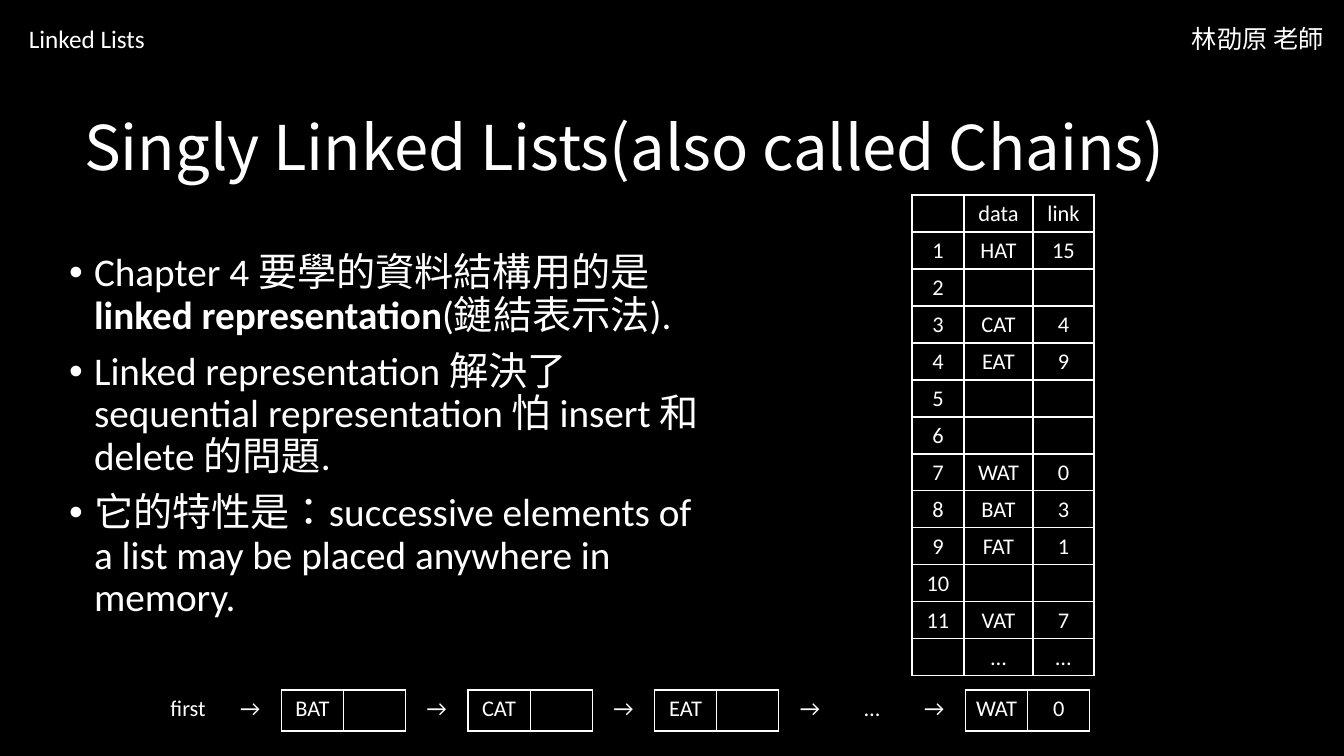
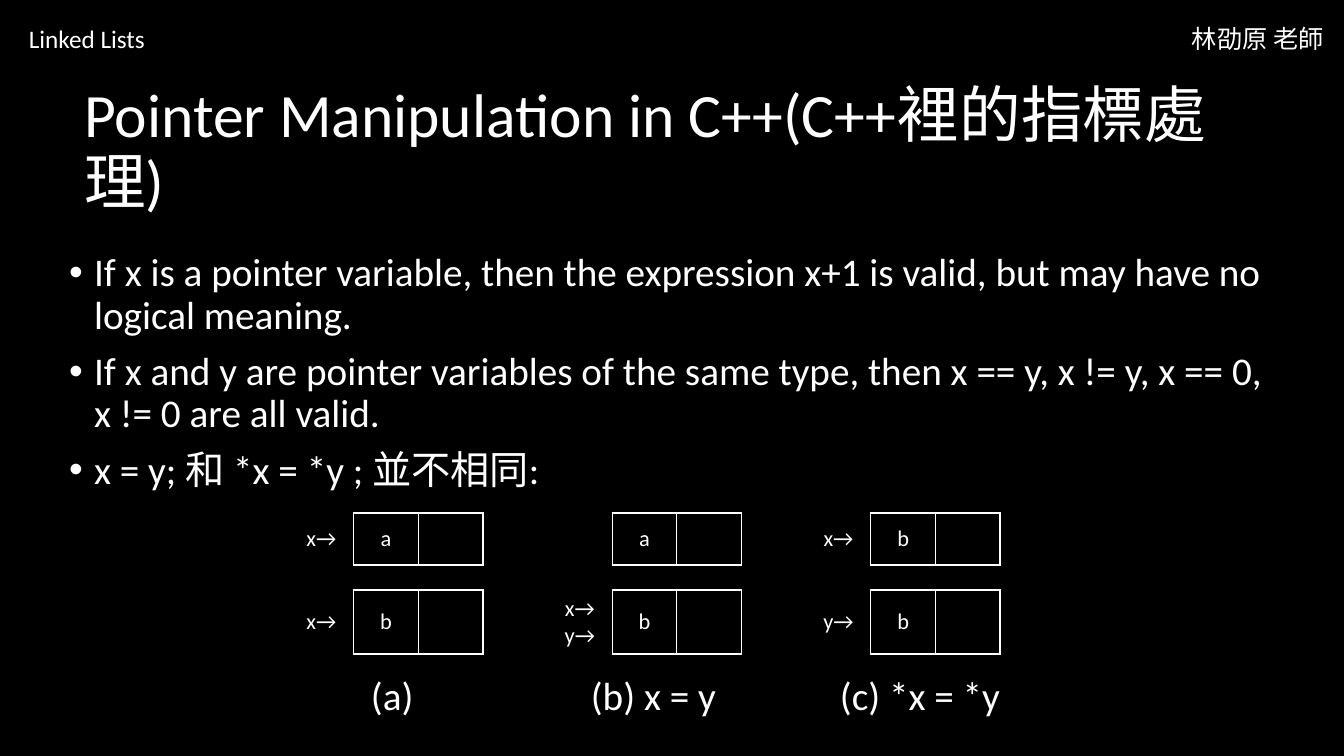
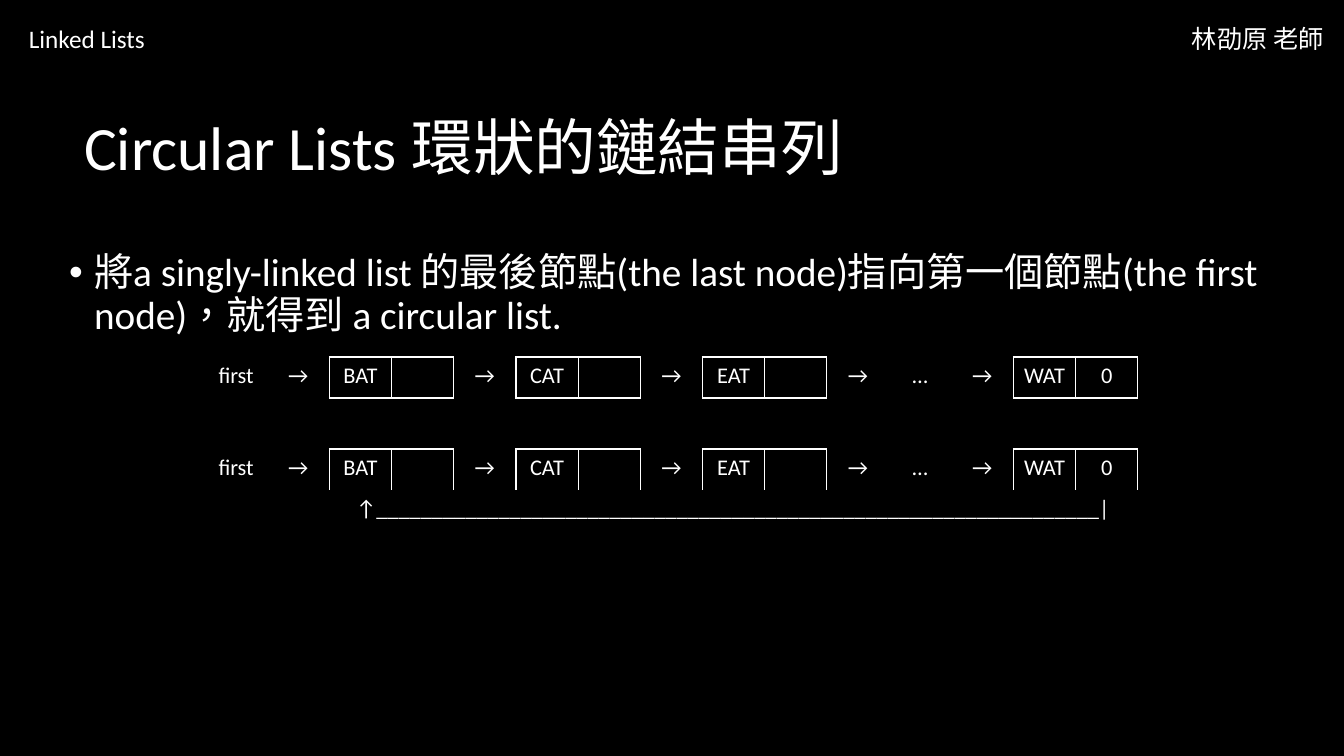
from lxml import etree
from pptx import Presentation
from pptx.dml.color import RGBColor
from pptx.enum.text import MSO_ANCHOR, MSO_AUTO_SIZE, PP_ALIGN
from pptx.oxml.ns import qn
from pptx.util import Emu, Pt

BLACK = RGBColor(0x00, 0x00, 0x00)
WHITE = RGBColor(0xFF, 0xFF, 0xFF)
LEFT, CENTER = PP_ALIGN.LEFT, PP_ALIGN.CENTER
TOP, MIDDLE = MSO_ANCHOR.TOP, MSO_ANCHOR.MIDDLE
NO_AUTOFIT, FIT_SHAPE = MSO_AUTO_SIZE.NONE, MSO_AUTO_SIZE.SHAPE_TO_FIT_TEXT

FONT, CJK_FONT, LANGUAGE = "Calibri", "Noto Sans CJK SC", "zh-TW"
TITLE_SIZE, BODY_SIZE, HEADER_SIZE, CELL_SIZE = 44, 28, 18, 16
NO_GRID_STYLE = "{2D5ABB26-0587-4C30-8999-92F81FD0307C}"
SLIDE_WIDTH, SLIDE_HEIGHT = 1344, 756
SCALE = 12192000 / SLIDE_WIDTH

# Boxes are left, top, width, height in px.
TITLE_BOX = (74, 78, 1207, 146)
HEADERS = [("林劭原 老師", (1182, 18, 160, 40)), ("Linked Lists", (19, 18, 160, 40))]
BULLET_INDENT = 25

# Double asterisks enclose bold text.
CHAINS_TITLE = "Singly Linked Lists(also called Chains)"
CHAINS_BODY = [
    "Chapter 4 要學的資料結構用的是 **linked representation**(鏈結表示法).",
    "Linked representation 解決了sequential representation 怕 insert 和 delete 的問題.",
    "它的特性是：successive elements of a list may be placed anywhere in memory.",
]
MEMORY_WIDTHS = [52, 69, 61]
MEMORY_ROWS = [
    ["", "data", "link"],
    ["1", "HAT", "15"],
    ["2", "", ""],
    ["3", "CAT", "4"],
    ["4", "EAT", "9"],
    ["5", "", ""],
    ["6", "", ""],
    ["7", "WAT", "0"],
    ["8", "BAT", "3"],
    ["9", "FAT", "1"],
    ["10", "", ""],
    ["11", "VAT", "7"],
    ["", "…", "…"],
]

CHAIN = ["first", "→", "BAT", "", "→", "CAT", "", "→", "EAT", "", "→", "…", "→", "WAT", "0"]
CHAIN_BOXED = {2, 3, 5, 6, 8, 9, 13, 14}
CHAIN_WIDTH, CHAIN_HEIGHT = 933, 41

POINTERS_TITLE = "Pointer Manipulation in C++(C++裡的指標處理)"
POINTERS_BODY = [
    "If x is a pointer variable, then the expression x+1 is valid, but may have no logical meaning.",
    "If x and y are pointer variables of the same type, then x == y, x != y, x == 0, x != 0 are all valid.",
    "x = y; 和 *x = *y ; 並不相同:",
]
POINTER_BOXED = {1, 2, 5, 6, 9, 10}
POINTER_ROWS = [  # top, height, cells
    (513, 52, ["x→", "a", "", "", "", "a", "", "", "x→", "b", "", ""]),
    (590, 64, ["x→", "b", "", "", "x→\ny→", "b", "", "", "y→", "b", "", ""]),
]
POINTER_LEFT, POINTER_WIDTH = 289, 776
CAPTIONS = [("(a)", 361), ("(b) x = y", 581), ("(c) *x = *y", 830)]
CAPTION_TOP, CAPTION_WIDTH, CAPTION_HEIGHT = 666, 210, 57

CIRCULAR_TITLE = "Circular Lists 環狀的鏈結串列"
CIRCULAR_BODY = [
    "將a singly-linked list 的最後節點(the last node)指向第一個節點(the first node)，就得到 a circular list."
]
RETURN_LINK = "↑" + "_" * 65 + "|"
RETURN_INDENT = 141


def px(length):
    return Emu(round(length * SCALE))


def place(shape, box):
    shape.left, shape.top, shape.width, shape.height = map(px, box)


def write(frame, lines, size, font=FONT, align=LEFT, spacing=None, before=None,
          indent=0, bullet=False):
    for index, line in enumerate(lines):
        paragraph = frame.paragraphs[0] if index == 0 else frame.add_paragraph()
        paragraph.alignment = align
        if spacing:
            paragraph.line_spacing = spacing
        if before is not None:
            paragraph.space_before = Pt(before)
        properties = paragraph._p.get_or_add_pPr()
        if indent:
            properties.set("marL", str(px(indent)))
        if bullet:
            properties.set("indent", str(px(-indent)))
            etree.SubElement(properties, qn("a:buFont"), typeface="Arial")
            etree.SubElement(properties, qn("a:buChar"), char="•")
        for part, text in enumerate(line.split("**")):
            if text:
                run = paragraph.add_run()
                run.text = text
                run.font.name = font
                run.font.size = Pt(size)
                run.font.bold = part % 2 == 1
                run.font.color.rgb = WHITE
                run._r.get_or_add_rPr().set("lang", LANGUAGE)
        etree.SubElement(paragraph._p, qn("a:endParaRPr"), sz=str(size * 100))


def add_label(slide, text, box, size):
    shape = slide.shapes.add_textbox(*map(px, box))
    shape.text_frame.word_wrap = True
    shape.text_frame.auto_size = FIT_SHAPE
    write(shape.text_frame, [text], size)


def add_slide(presentation, title, body, body_width=1225, body_height=443, title_font=FONT):
    slide = presentation.slides.add_slide(presentation.slide_layouts[1])
    title_shape, body_shape = slide.placeholders
    place(title_shape, TITLE_BOX)
    place(body_shape, (59, 248, body_width, body_height))
    for shape, anchor in ((title_shape, MIDDLE), (body_shape, TOP)):
        shape.text_frame.auto_size = NO_AUTOFIT
        shape.text_frame.word_wrap = True
        shape.text_frame.vertical_anchor = anchor
    write(title_shape.text_frame, [title], TITLE_SIZE, font=title_font, spacing=0.9, before=0)
    write(body_shape.text_frame, body, BODY_SIZE, spacing=0.9, before=10,
          indent=BULLET_INDENT, bullet=True)
    for text, box in HEADERS:
        add_label(slide, text, box, HEADER_SIZE)
    return slide


def draw_borders(cell, sides):
    """Draw the given sides (of L, R, T, B) and turn the others off explicitly."""
    properties = cell._tc.get_or_add_tcPr()
    for index, side in enumerate("LRTB"):
        line = etree.Element(qn("a:ln" + side), w=str(Pt(1)))
        if side in sides:
            fill = etree.SubElement(line, qn("a:solidFill"))
            etree.SubElement(fill, qn("a:srgbClr"), val=str(WHITE))
        else:
            etree.SubElement(line, qn("a:noFill"))
        properties.insert(index, line)


def add_grid(slide, rows, left, top, widths, row_height, boxed, anchor=TOP, open_bottom=False):
    """Add a table whose borders surround only the cells in the boxed columns."""
    frame = slide.shapes.add_table(
        len(rows), len(widths), px(left), px(top), px(sum(widths)), px(row_height * len(rows)))
    frame.element.find(".//" + qn("a:tableStyleId")).text = NO_GRID_STYLE
    table = frame.table
    table.first_row = table.horz_banding = False
    for column, width in zip(table.columns, widths):
        column.width = px(width)
    for row_index, row in enumerate(rows):
        table.rows[row_index].height = px(row_height)
        for column, text in enumerate(row):
            cell = table.cell(row_index, column)
            cell.fill.background()
            cell.vertical_anchor = anchor
            write(cell.text_frame, text.split("\n"), CELL_SIZE, align=CENTER)
            sides = "L" if {column, column - 1} & boxed else ""
            sides += "R" if {column, column + 1} & boxed else ""
            if column in boxed:
                sides += "T" if open_bottom else "TB"
            draw_borders(cell, sides)
    return table


def add_chain(slide, left, top, circular=False):
    columns = len(CHAIN)
    rows = [CHAIN] + ([[]] if circular else [])
    table = add_grid(slide, rows, left, top, [CHAIN_WIDTH / columns] * columns,
                     CHAIN_HEIGHT, CHAIN_BOXED, open_bottom=circular)
    if circular:
        cell = table.cell(1, 0)
        cell.merge(table.cell(1, columns - 1))
        cell.fill.background()
        draw_borders(cell, "")
        write(cell.text_frame, [RETURN_LINK], CELL_SIZE, indent=RETURN_INDENT)


def build_chains(presentation):
    slide = add_slide(presentation, CHAINS_TITLE, CHAINS_BODY, body_width=655, title_font=CJK_FONT)
    add_grid(slide, MEMORY_ROWS, 912, 195, MEMORY_WIDTHS, 37, {0, 1, 2})
    add_chain(slide, 157, 690)


def build_pointers(presentation):
    slide = add_slide(presentation, POINTERS_TITLE, POINTERS_BODY, body_height=486)
    for top, height, cells in POINTER_ROWS:
        widths = [POINTER_WIDTH / len(cells)] * len(cells)
        add_grid(slide, [cells], POINTER_LEFT, top, widths, height, POINTER_BOXED, anchor=MIDDLE)
    for text, left in CAPTIONS:
        add_label(slide, text, (left, CAPTION_TOP, CAPTION_WIDTH, CAPTION_HEIGHT), BODY_SIZE)


def build_circular(presentation):
    slide = add_slide(presentation, CIRCULAR_TITLE, CIRCULAR_BODY)
    add_chain(slide, 205, 357)
    add_chain(slide, 205, 449, circular=True)


def main():
    presentation = Presentation()
    presentation.slide_width, presentation.slide_height = px(SLIDE_WIDTH), px(SLIDE_HEIGHT)
    background = presentation.slide_master.background.fill
    background.solid()
    background.fore_color.rgb = BLACK
    build_chains(presentation)
    build_pointers(presentation)
    build_circular(presentation)
    presentation.save("out.pptx")


if __name__ == "__main__":
    main()
